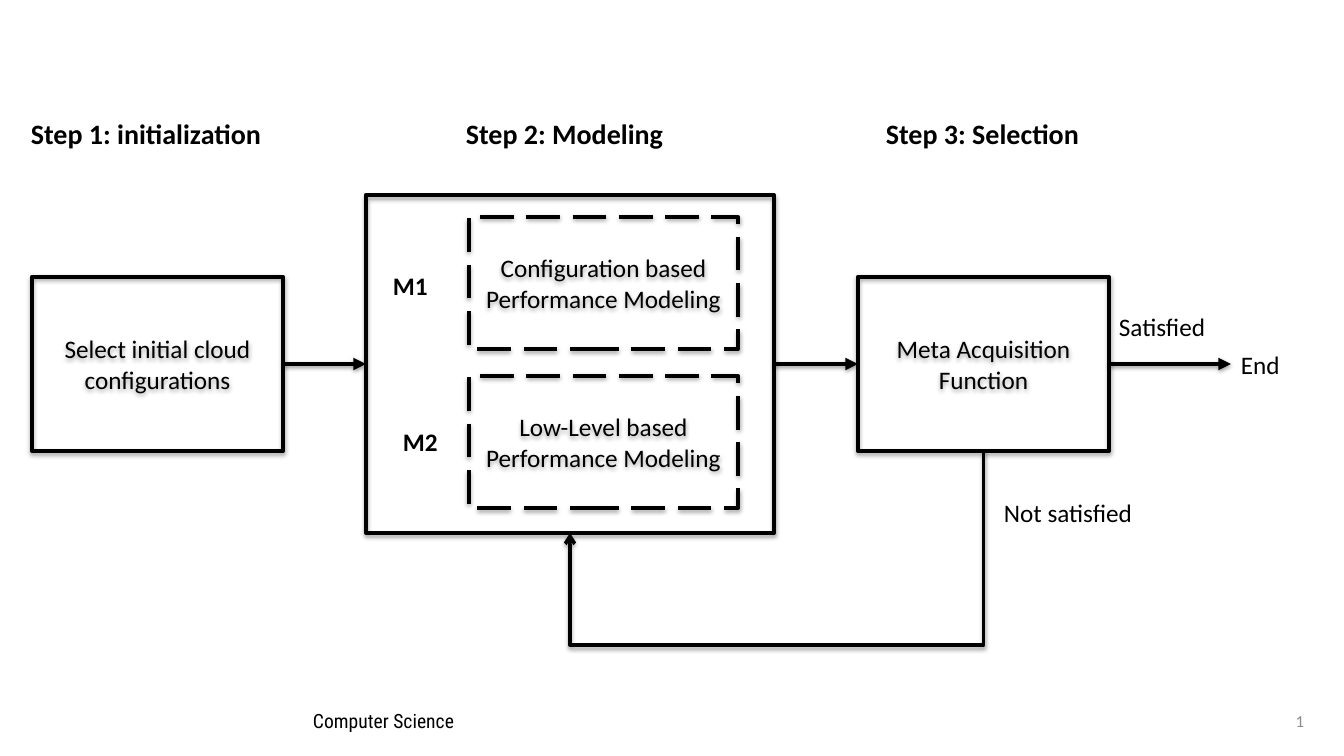
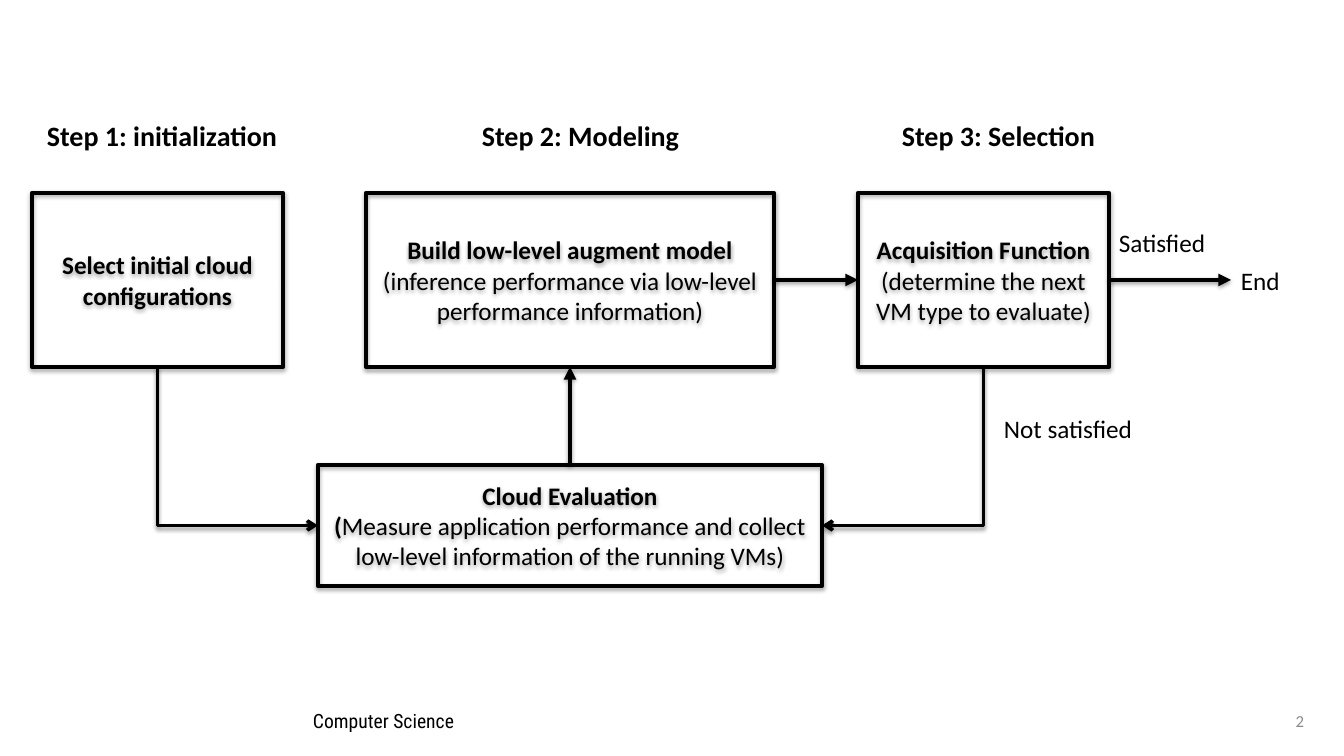
import pptx
import pptx.util
import pptx.dml.color
import pptx.enum.dml
import pptx.enum.shapes
import pptx.enum.text
import pptx.oxml
import pptx.oxml.ns

EMU_PER_PIXEL = 914400 / 100.8
BLACK = pptx.dml.color.RGBColor(0x00, 0x00, 0x00)
GREY = pptx.dml.color.RGBColor(0x8C, 0x8C, 0x8C)
BODY_FONT = "Calibri"
FOOTER_FONT = "Roboto Condensed"
LEFT, CENTER, RIGHT = (pptx.enum.text.PP_ALIGN.LEFT, pptx.enum.text.PP_ALIGN.CENTER,
                       pptx.enum.text.PP_ALIGN.RIGHT)
MIDDLE = pptx.enum.text.MSO_ANCHOR.MIDDLE
CONNECTOR = pptx.enum.shapes.MSO_CONNECTOR
# Connection sites of a rectangle
TOP, LEFT_SIDE, BOTTOM, RIGHT_SIDE = range(4)

# Box columns shared by both flow charts: left and width
INITIAL, MODELING, SELECTION = (32, 251), (366, 408), (858, 251)
STEP_HEIGHT = 174


def px(pixels):
    return pptx.util.Emu(round(pixels * EMU_PER_PIXEL))


def add_effects(properties, opacity, distance):
    """Put a soft downward shadow into the effect list."""
    effects = properties.find(pptx.oxml.ns.qn("a:effectLst"))
    if effects is None:
        effects = pptx.oxml.parse_xml(f"<a:effectLst {pptx.oxml.ns.nsdecls('a')}/>")
        properties.append(effects)
    effects.append(pptx.oxml.parse_xml(
        f'<a:outerShdw {pptx.oxml.ns.nsdecls("a")} blurRad="40000" dist="{distance}" '
        f'dir="5400000" rotWithShape="0"><a:srgbClr val="{BLACK}">'
        f'<a:alpha val="{opacity * 1000}"/></a:srgbClr></a:outerShdw>'))


class FlowChart:
    def __init__(self):
        self.deck = pptx.Presentation()
        self.deck.slide_width, self.deck.slide_height = px(1344), px(756)
        self.slide = None

    def start_slide(self):
        self.slide = self.deck.slides.add_slide(self.deck.slide_layouts[6])
        self.label("Computer Science", 303, 704, 251, 34, size=14, font=FOOTER_FONT)
        self.label(str(len(self.deck.slides)), 1112, 701, 202, 40, size=12,
                   color=GREY, align=RIGHT, anchor=MIDDLE)

    def style(self, run, size=18, bold=False, font=BODY_FONT, color=BLACK):
        run.font.name, run.font.size = font, pptx.util.Pt(size)
        run.font.bold, run.font.color.rgb = bold, color

    def label(self, text, left, top, width=153, height=40, align=LEFT, anchor=None, **look):
        frame = self.slide.shapes.add_textbox(px(left), px(top), px(width), px(height)).text_frame
        frame.word_wrap = True
        frame.text = text
        if anchor is not None:
            frame.vertical_anchor = anchor
        frame.paragraphs[0].alignment = align
        self.style(frame.paragraphs[0].runs[0], **look)

    def step_titles(self, left, top):
        titles = ("Step 1: initialization", "Step 2: Modeling", "Step 3: Selection")
        for title, offset in zip(titles, (0, 435, 855)):
            self.label(title, left + offset, top, 272, 44, size=20, bold=True)

    def box(self, left, top, width, height, *paragraphs, dashed=False):
        """Each paragraph is a pair: its bold part and its plain part."""
        box = self.slide.shapes.add_shape(pptx.enum.shapes.MSO_SHAPE.RECTANGLE,
                                          px(left), px(top), px(width), px(height))
        box.fill.background()
        box.line.color.rgb, box.line.width = BLACK, pptx.util.Pt(3)
        if dashed:
            box.line.dash_style = pptx.enum.dml.MSO_LINE.LONG_DASH
        box.shadow.inherit = False
        add_effects(box.element.spPr, 35, 23000)
        frame = box.text_frame
        frame.word_wrap, frame.vertical_anchor = True, MIDDLE
        for number, parts in enumerate(paragraphs):
            paragraph = frame.add_paragraph() if number else frame.paragraphs[0]
            paragraph.alignment = CENTER
            for part, bold in zip(parts, (True, False)):
                if part:
                    run = paragraph.add_run()
                    run.text = part
                    self.style(run, bold=bold)
        return box

    def line_style(self, connector, width, head):
        connector.line.color.rgb, connector.line.width = BLACK, pptx.util.Pt(width)
        properties = connector.element.spPr
        properties.find(pptx.oxml.ns.qn("a:ln")).append(pptx.oxml.parse_xml(
            f'<a:tailEnd {pptx.oxml.ns.nsdecls("a")} type="{head}"/>'))
        add_effects(properties, 38, 20000)

    def arrow(self, source, source_side, target, target_side=None):
        """Straight arrow from a box to another box or to a point."""
        point = (0, 0) if target_side is not None else target
        connector = self.slide.shapes.add_connector(CONNECTOR.STRAIGHT, 0, 0,
                                                    px(point[0]), px(point[1]))
        connector.begin_connect(source, source_side)
        if target_side is not None:
            connector.end_connect(target, target_side)
        self.line_style(connector, 3, "triangle")

    def elbow(self, source, target, target_side, turn=None):
        """Arrow that leaves a box downwards; turn is the height of its level part."""
        connector = self.slide.shapes.add_connector(CONNECTOR.ELBOW, 0, 0, 0, 0)
        connector.begin_connect(source, BOTTOM)
        connector.end_connect(target, target_side)
        x1, y1 = connector.begin_x, connector.begin_y
        x2, y2 = connector.end_x, connector.end_y
        drop, span = y2 - y1, abs(x2 - x1)
        # The frame is laid out level, then turned about its centre
        connector.left = pptx.util.Emu((x1 + x2 - drop) // 2)
        connector.top = pptx.util.Emu((y1 + y2 - span) // 2)
        connector.width, connector.height = pptx.util.Emu(drop), pptx.util.Emu(span)
        properties = connector.element.spPr
        frame = properties.find(pptx.oxml.ns.qn("a:xfrm"))
        rightward = x2 > x1
        frame.set("rot", str((270 if rightward else 90) * 60000))
        frame.set("flipH", "1" if rightward else "0")
        frame.set("flipV", "0")
        geometry = properties.find(pptx.oxml.ns.qn("a:prstGeom"))
        if turn is None:
            geometry.set("prst", "bentConnector2")
        else:
            share = round((px(turn) - y1) / drop * 100000)
            geometry.find(pptx.oxml.ns.qn("a:avLst")).append(pptx.oxml.parse_xml(
                f'<a:gd {pptx.oxml.ns.nsdecls("a")} name="adj1" fmla="val {share}"/>'))
        self.line_style(connector, 2.5, "arrow")

    def outcomes(self, selection, middle):
        self.label("Not satisfied", 994, middle + 128)
        self.label("Satisfied", 1109, middle - 58)
        self.arrow(selection, RIGHT_SIDE, (1231, middle))
        self.label("End", 1231, middle - 20)


chart = FlowChart()

# Slide 1: two models within the modeling step
chart.start_slide()
chart.step_titles(21, 112)
step_top = 277
initial = chart.box(INITIAL[0], step_top, INITIAL[1], STEP_HEIGHT,
                    ("", "Select initial cloud configurations"))
modeling = chart.box(MODELING[0], 195, MODELING[1], 338)
models = (("M1", 383, 265, 217, "Configuration based Performance Modeling"),
          ("M2", 393, 421, 376, "Low-Level based Performance Modeling"))
for tag, tag_left, tag_top, model_top, model in models:
    chart.box(469, model_top, 269, 132, ("", model), dashed=True)
    chart.label(tag, tag_left, tag_top, 60, bold=True)
selection = chart.box(SELECTION[0], step_top, SELECTION[1], STEP_HEIGHT,
                      ("", "Meta Acquisition Function"))
chart.elbow(selection, modeling, BOTTOM, turn=645)
chart.arrow(initial, RIGHT_SIDE, modeling, LEFT_SIDE)
chart.arrow(modeling, RIGHT_SIDE, selection, LEFT_SIDE)
chart.outcomes(selection, step_top + STEP_HEIGHT // 2)

# Slide 2: low-level augmented model with cloud evaluation
chart.start_slide()
chart.step_titles(37, 114)
step_top = 193
initial = chart.box(INITIAL[0], step_top, INITIAL[1], STEP_HEIGHT,
                    ("Select initial cloud configurations", ""))
modeling = chart.box(MODELING[0], step_top, MODELING[1], STEP_HEIGHT,
                     ("Build low-level augment model", ""),
                     ("", "(inference performance via low-level performance information)"))
selection = chart.box(SELECTION[0], step_top, SELECTION[1], STEP_HEIGHT,
                      ("Acquisition Function", ""),
                      ("", "(determine the next VM type to evaluate)"))
evaluation = chart.box(318, 465, 504, 121, ("Cloud Evaluation", ""),
                       ("(", "Measure application performance and collect "
                             "low-level information of the running VMs)"))
chart.elbow(initial, evaluation, LEFT_SIDE)
chart.elbow(selection, evaluation, RIGHT_SIDE)
chart.arrow(evaluation, TOP, modeling, BOTTOM)
chart.arrow(modeling, RIGHT_SIDE, selection, LEFT_SIDE)
chart.outcomes(selection, step_top + STEP_HEIGHT // 2)

chart.deck.save("out.pptx")
